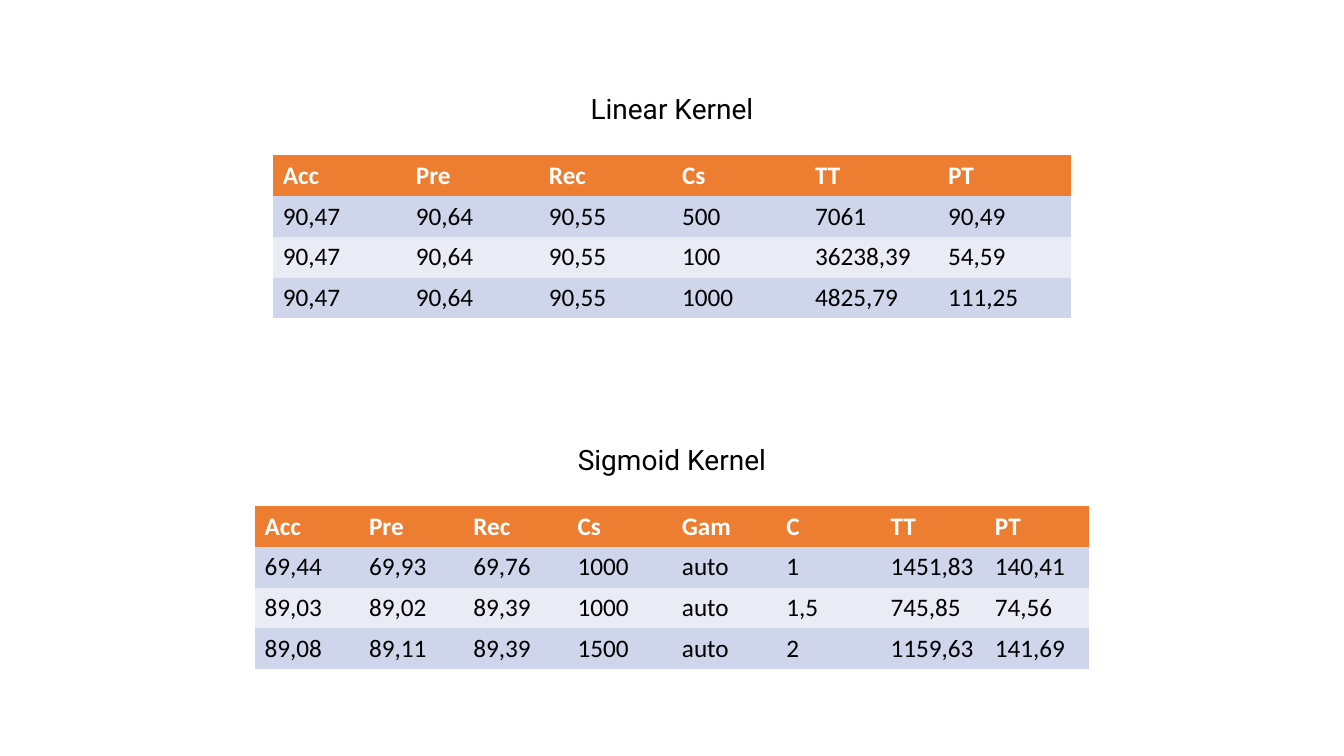
from dataclasses import dataclass

from pptx import Presentation
from pptx.dml.color import RGBColor
from pptx.enum.text import MSO_AUTO_SIZE, PP_ALIGN
from pptx.slide import Slide
from pptx.text.text import Font
from pptx.util import Inches, Pt

BLACK = RGBColor(0x00, 0x00, 0x00)
WHITE = RGBColor(0xFF, 0xFF, 0xFF)
ORANGE = RGBColor(0xED, 0x7D, 0x31)
BAND_DARK = RGBColor(0xCF, 0xD5, 0xEA)
BAND_LIGHT = RGBColor(0xE9, 0xEB, 0xF5)

NO_STYLE_NO_GRID = "{2D5ABB26-0587-4C30-8999-92F81FD0307C}"
SLIDE_WIDTH = Inches(13.33)
CAPTION_WIDTH = Inches(3.8)
CAPTION_HEIGHT = Inches(0.44)
CAPTION_TO_RESULTS = Inches(0.68)
RESULTS_HEIGHT = Inches(1.62)

CAPTION_FONT = {"name": "Roboto", "size": Pt(20), "bold": False}
HEADER_FONT = {"name": "Calibri", "size": Pt(18), "bold": True}
VALUE_FONT = {"name": "Calibri", "size": Pt(18), "bold": False}


@dataclass(frozen=True)
class Kernel:
    name: str
    top: int
    width: int
    rows: list[list[str]]


KERNELS = [
    Kernel("Linear Kernel", Inches(0.86), Inches(7.92), [
        ["Acc", "Pre", "Rec", "Cs", "TT", "PT"],
        ["90,47", "90,64", "90,55", "500", "7061", "90,49"],
        ["90,47", "90,64", "90,55", "100", "36238,39", "54,59"],
        ["90,47", "90,64", "90,55", "1000", "4825,79", "111,25"],
    ]),
    Kernel("Sigmoid Kernel", Inches(4.34), Inches(8.28), [
        ["Acc", "Pre", "Rec", "Cs", "Gam", "C", "TT", "PT"],
        ["69,44", "69,93", "69,76", "1000", "auto", "1", "1451,83", "140,41"],
        ["89,03", "89,02", "89,39", "1000", "auto", "1,5", "745,85", "74,56"],
        ["89,08", "89,11", "89,39", "1500", "auto", "2", "1159,63", "141,69"],
    ]),
]


def format_font(font: Font, values: dict, color: RGBColor) -> None:
    for attribute, value in values.items():
        setattr(font, attribute, value)
    font.color.rgb = color


def centered_left(width: int) -> int:
    return (SLIDE_WIDTH - width) // 2


def add_caption(slide: Slide, kernel: Kernel) -> None:
    caption = slide.shapes.add_textbox(
        centered_left(CAPTION_WIDTH), kernel.top, CAPTION_WIDTH, CAPTION_HEIGHT
    ).text_frame
    caption.word_wrap = True
    caption.auto_size = MSO_AUTO_SIZE.SHAPE_TO_FIT_TEXT
    paragraph = caption.paragraphs[0]
    paragraph.alignment = PP_ALIGN.CENTER
    run = paragraph.add_run()
    run.text = kernel.name
    format_font(run.font, CAPTION_FONT, BLACK)


def add_results(slide: Slide, kernel: Kernel) -> None:
    frame = slide.shapes.add_table(
        len(kernel.rows), len(kernel.rows[0]), centered_left(kernel.width),
        kernel.top + CAPTION_TO_RESULTS, kernel.width, RESULTS_HEIGHT,
    )
    frame.element.xpath(".//a:tableStyleId")[0].text = NO_STYLE_NO_GRID
    for row_index, row in enumerate(kernel.rows):
        if row_index == 0:
            fill, font, color = ORANGE, HEADER_FONT, WHITE
        else:
            fill = BAND_DARK if row_index % 2 else BAND_LIGHT
            font, color = VALUE_FONT, BLACK
        for column_index, value in enumerate(row):
            cell = frame.table.cell(row_index, column_index)
            cell.fill.solid()
            cell.fill.fore_color.rgb = fill
            run = cell.text_frame.paragraphs[0].add_run()
            run.text = value
            format_font(run.font, font, color)


def main() -> None:
    presentation = Presentation()
    presentation.slide_width = SLIDE_WIDTH
    presentation.slide_height = Inches(7.5)
    slide = presentation.slides.add_slide(presentation.slide_layouts[6])
    for kernel in KERNELS:
        add_caption(slide, kernel)
        add_results(slide, kernel)
    presentation.save("out.pptx")


main()
